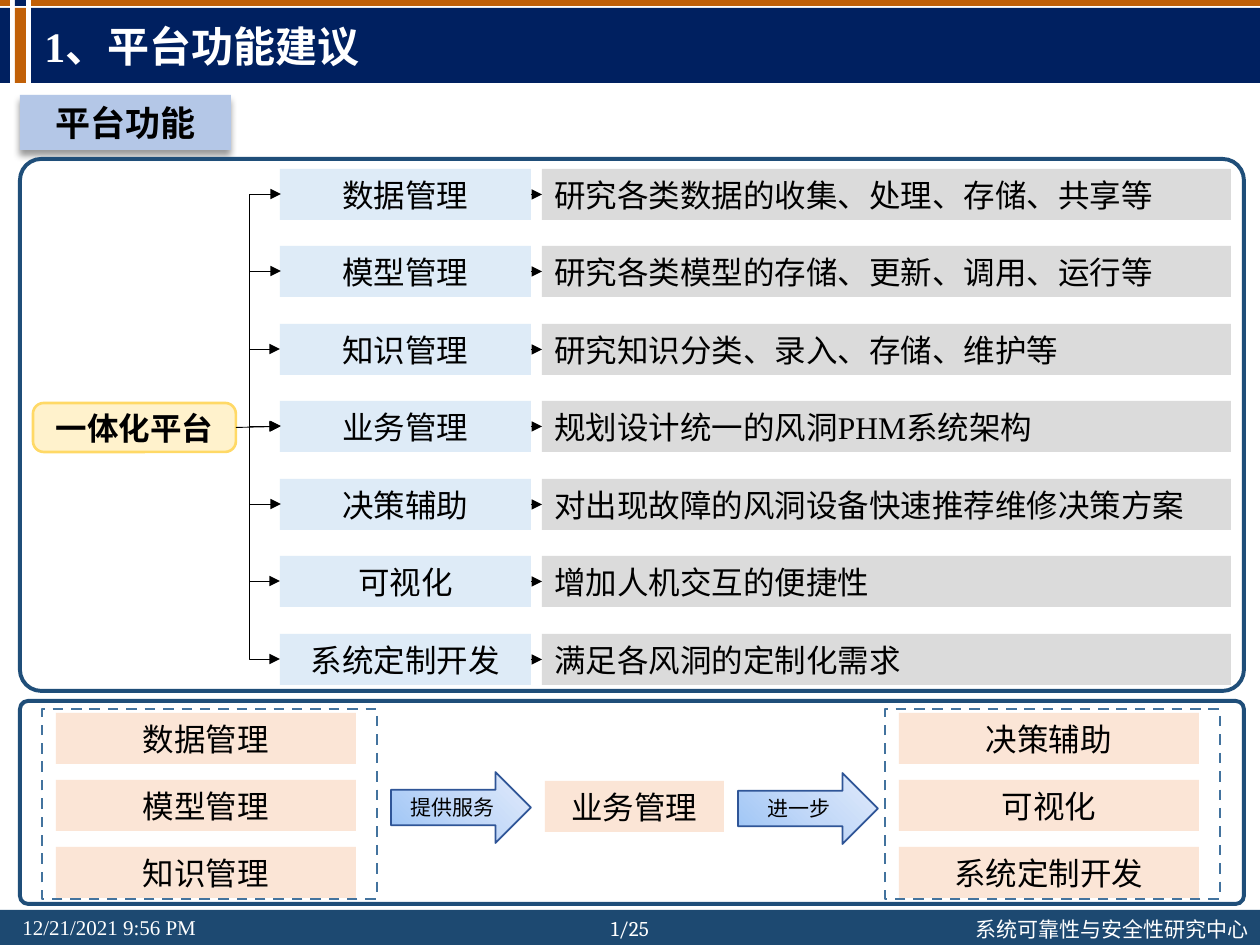
from dataclasses import dataclass
from typing import Optional

from lxml.etree import SubElement
from pptx import Presentation
from pptx.dml.color import RGBColor
from pptx.enum.dml import MSO_LINE
from pptx.enum.shapes import MSO_CONNECTOR, MSO_SHAPE
from pptx.enum.text import MSO_ANCHOR, PP_ALIGN
from pptx.oxml.ns import qn
from pptx.shapes.autoshape import Shape
from pptx.shapes.connector import Connector
from pptx.slide import Slide
from pptx.util import Pt

EMU_PER_PX = 914400 / 126

WHITE = RGBColor(0xFF, 0xFF, 0xFF)
BLACK = RGBColor(0x00, 0x00, 0x00)
NAVY = RGBColor(0x00, 0x20, 0x60)
ORANGE = RGBColor(0xC1, 0x60, 0x07)
FOOTER_BLUE = RGBColor(0x1D, 0x49, 0x71)
FRAME_BLUE = RGBColor(0x1F, 0x4E, 0x79)
DASH_BLUE = RGBColor(0x43, 0x73, 0x9E)
ARROW_BLUE = RGBColor(0x2F, 0x55, 0x97)
HEADING_BLUE = RGBColor(0xB4, 0xC7, 0xE7)
PALE_BLUE = RGBColor(0xDE, 0xEB, 0xF7)
GREY = RGBColor(0xDB, 0xDB, 0xDB)
PEACH = RGBColor(0xFB, 0xE5, 0xD6)
CREAM = RGBColor(0xFF, 0xF2, 0xCC)
GOLD = RGBColor(0xFF, 0xD9, 0x66)
ARROW_STOPS = ((0, "9AC3F5"), (50000, "C2D8F8"), (100000, "E1EBFB"))

SERIF = "Times New Roman"
SANS = "Arial"
CHINESE = "Noto Sans CJK SC"


@dataclass(frozen=True)
class Area:
    left: int
    top: int
    width: int
    height: int

    def emu(self) -> list[int]:
        return [px(value) for value in (self.left, self.top, self.width, self.height)]


@dataclass(frozen=True)
class TextStyle:
    size: int = 18
    font: str = SERIF
    color: RGBColor = BLACK
    bold: bool = False
    align: PP_ALIGN = PP_ALIGN.CENTER


@dataclass(frozen=True)
class Feature:
    name: str
    description: str
    font: str = SERIF


BARS = (
    (Area(0, 910, 1260, 35), FOOTER_BLUE),
    (Area(31, 8, 1229, 75), NAVY),
    (Area(31, 0, 1229, 6), ORANGE),
    (Area(15, 8, 11, 75), ORANGE),
    (Area(15, 0, 11, 6), NAVY),
    (Area(0, 8, 10, 75), NAVY),
    (Area(0, 0, 10, 6), ORANGE),
)
FEATURES = (
    Feature("数据管理", "研究各类数据的收集、处理、存储、共享等"),
    Feature("模型管理", "研究各类模型的存储、更新、调用、运行等"),
    Feature("知识管理", "研究知识分类、录入、存储、维护等"),
    Feature("业务管理", "规划设计统一的风洞PHM系统架构"),
    Feature("决策辅助", "对出现故障的风洞设备快速推荐维修决策方案", SANS),
    Feature("可视化", "增加人机交互的便捷性"),
    Feature("系统定制开发", "满足各风洞的定制化需求"),
)
BUSINESS_ROW = 3
BOX_HEIGHT = 51


def px(value: int) -> int:
    return round(value * EMU_PER_PX)


def write(shape: Shape, text: str, style: TextStyle, wrap: bool = True) -> None:
    frame = shape.text_frame
    frame.text = text
    frame.word_wrap = wrap
    frame.vertical_anchor = MSO_ANCHOR.MIDDLE
    paragraph = frame.paragraphs[0]
    paragraph.alignment = style.align
    for span in paragraph.runs:
        span.font.size = Pt(style.size)
        span.font.name = style.font
        span.font.bold = style.bold
        span.font.color.rgb = style.color
        SubElement(span.font._element, qn("a:ea"), typeface=CHINESE)


def add_label(page: Slide, area: Area, text: str, style: TextStyle, wrap: bool = True) -> None:
    write(page.shapes.add_textbox(*area.emu()), text, style, wrap)


def add_box(page: Slide, area: Area, fill: Optional[RGBColor] = None,
            line: Optional[RGBColor] = None, weight: float = 1,
            kind: MSO_SHAPE = MSO_SHAPE.RECTANGLE, radius: Optional[float] = None) -> Shape:
    box = page.shapes.add_shape(kind, *area.emu())
    box.shadow.inherit = False
    if fill is None:
        box.fill.background()
    else:
        box.fill.solid()
        box.fill.fore_color.rgb = fill
    if line is None:
        box.line.fill.background()
    else:
        box.line.color.rgb = line
        box.line.width = Pt(weight)
    if radius is not None:
        box.adjustments[0] = radius
    return box


def add_text_box(page: Slide, area: Area, fill: RGBColor, text: str, style: TextStyle) -> Shape:
    box = add_box(page, area, fill)
    write(box, text, style)
    return box


def add_drop_shadow(box: Shape) -> None:
    effects = box._element.spPr.find(qn("a:effectLst"))
    shadow = SubElement(effects, qn("a:outerShdw"), blurRad=str(Pt(4)), dist=str(Pt(3)),
                        dir="5400000", algn="t", rotWithShape="0")
    color = SubElement(shadow, qn("a:srgbClr"), val="000000")
    SubElement(color, qn("a:alpha"), val="40000")


def add_step_arrow(page: Slide, area: Area, text: str) -> None:
    arrow = add_box(page, area, PALE_BLUE, ARROW_BLUE, 1, MSO_SHAPE.RIGHT_ARROW)
    arrow.fill.gradient()
    arrow.fill.gradient_angle = 45
    stops = arrow._element.spPr.find(".//" + qn("a:gsLst"))
    stops.clear()
    for position, color in ARROW_STOPS:
        stop = SubElement(stops, qn("a:gs"), pos=str(position))
        SubElement(stop, qn("a:srgbClr"), val=color)
    write(arrow, text, TextStyle(size=12))


def add_line(page: Slide, kind: MSO_CONNECTOR, start: tuple[int, int], end: tuple[int, int],
             heads: tuple[str, ...]) -> Connector:
    line = page.shapes.add_connector(kind, *(px(value) for value in start + end))
    line.line.color.rgb = BLACK
    line.line.width = Pt(0.5)
    for head in heads:
        SubElement(line.line._get_or_add_ln(), qn(head), type="triangle")
    SubElement(line._element.spPr, qn("a:effectLst"))
    return line


def join(page: Slide, source: Shape, target: Shape) -> None:
    line = add_line(page, MSO_CONNECTOR.STRAIGHT, (0, 0), (0, 0), ("a:tailEnd",))
    line.begin_connect(source, 3)
    line.end_connect(target, 1)


def add_bracket(page: Slide, top: int, bottom: int) -> None:
    line = add_line(page, MSO_CONNECTOR.ELBOW, (281, top), (280, bottom),
                    ("a:headEnd", "a:tailEnd"))
    guides = line._element.spPr.find(".//" + qn("a:avLst"))
    SubElement(guides, qn("a:gd"), name="adj1", fmla="val 3200000")


def add_stack(page: Slide, left: int, features: tuple[Feature, ...]) -> None:
    for row, feature in enumerate(features):
        add_text_box(page, Area(left, 713 + 67 * row, 300, BOX_HEIGHT), PEACH,
                     feature.name, TextStyle(font=SANS))
    outline = add_box(page, Area(left - 14, 709, 335, 190), line=DASH_BLUE, weight=1.5)
    outline.line.dash_style = MSO_LINE.DASH


def add_header_and_footer(page: Slide) -> None:
    for area, color in BARS:
        add_box(page, area, color)
    small = TextStyle(12, SERIF, WHITE, align=PP_ALIGN.LEFT)
    add_label(page, Area(10, 908, 205, 38), "12/21/2021 9:56 PM", small, False)
    add_label(page, Area(963, 910, 302, 38), "系统可靠性与安全性研究中心",
              TextStyle(12, CHINESE, WHITE, align=PP_ALIGN.LEFT), False)
    add_label(page, Area(586, 909, 88, 38), "1/25", TextStyle(12, "Cambria", WHITE))
    add_label(page, Area(32, 8, 1118, 75), "1、平台功能建议",
              TextStyle(24, SERIF, WHITE, True, PP_ALIGN.LEFT))


def add_feature_tree(page: Slide) -> None:
    add_box(page, Area(20, 159, 1224, 532), line=FRAME_BLUE, weight=2.25,
            kind=MSO_SHAPE.ROUNDED_RECTANGLE, radius=0.04)
    platform = add_box(page, Area(33, 403, 203, 49), CREAM, GOLD, 1.5,
                       MSO_SHAPE.ROUNDED_RECTANGLE, 0.22)
    write(platform, "一体化平台", TextStyle(bold=True))
    tops = [169 + 155 * row // 2 for row in range(len(FEATURES))]
    for row, (top, feature) in enumerate(zip(tops, FEATURES)):
        name = add_text_box(page, Area(280, top, 251, BOX_HEIGHT), PALE_BLUE,
                            feature.name, TextStyle())
        description = add_text_box(page, Area(542, top, 689, BOX_HEIGHT), GREY,
                                   feature.description,
                                   TextStyle(font=feature.font, align=PP_ALIGN.LEFT))
        join(page, name, description)
        if row == BUSINESS_ROW:
            join(page, platform, name)
    for top, bottom in zip(tops, tops[2:]):
        pass
    centres = [top + BOX_HEIGHT // 2 for top in tops]
    for first, last in ((0, 2), (1, 3), (3, 5), (4, 6)):
        add_bracket(page, centres[first], centres[last])


def add_service_flow(page: Slide) -> None:
    add_box(page, Area(20, 701, 1224, 203), line=FRAME_BLUE, weight=2.25,
            kind=MSO_SHAPE.ROUNDED_RECTANGLE, radius=0.04)
    add_stack(page, 56, FEATURES[:BUSINESS_ROW])
    add_step_arrow(page, Area(391, 772, 140, 71), "提供服务")
    add_text_box(page, Area(545, 781, 179, BOX_HEIGHT), PEACH,
                 FEATURES[BUSINESS_ROW].name, TextStyle(font=SANS))
    add_step_arrow(page, Area(738, 773, 140, 71), "进一步")
    add_stack(page, 899, FEATURES[BUSINESS_ROW + 1:])


def main() -> None:
    deck = Presentation()
    deck.slide_width, deck.slide_height = px(1260), px(945)
    page = deck.slides.add_slide(deck.slide_layouts[6])
    add_header_and_footer(page)
    heading = add_text_box(page, Area(20, 95, 211, 55), HEADING_BLUE, "平台功能",
                           TextStyle(20, bold=True))
    add_drop_shadow(heading)
    add_feature_tree(page)
    add_service_flow(page)
    deck.save("out.pptx")


if __name__ == "__main__":
    main()
